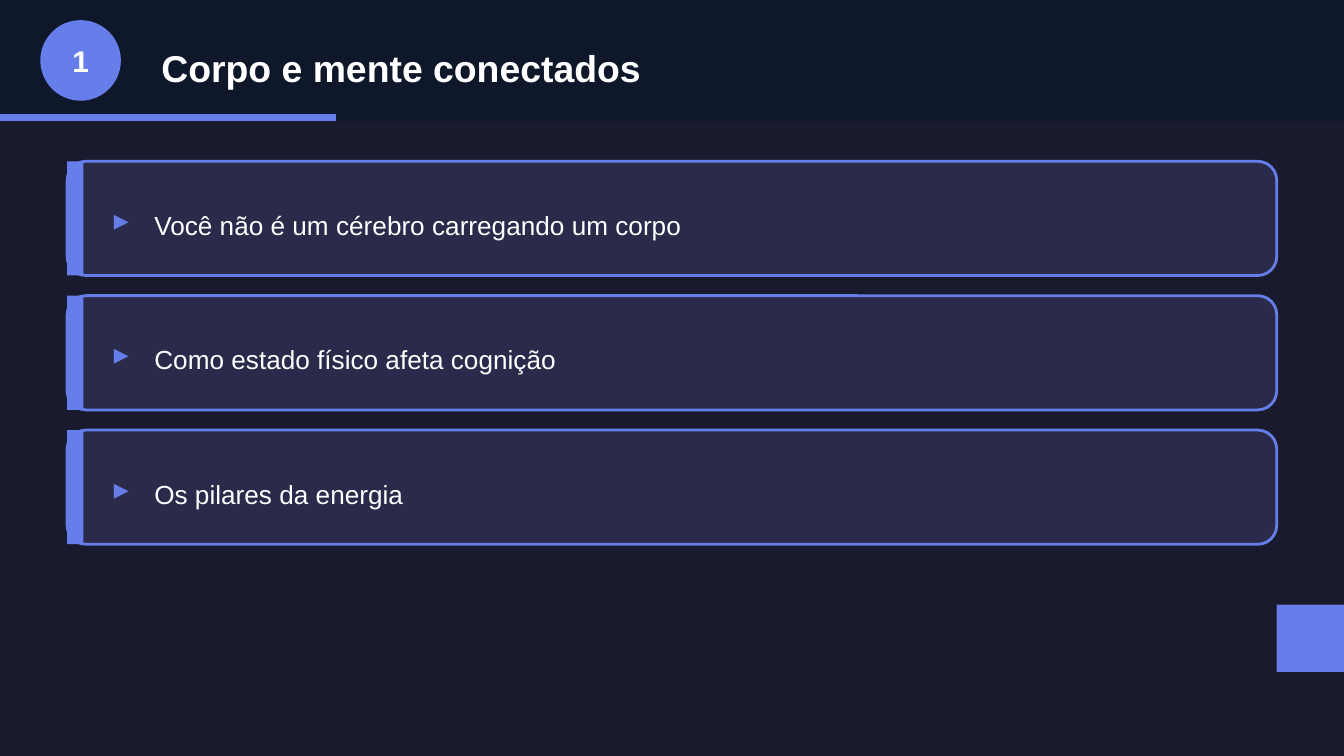
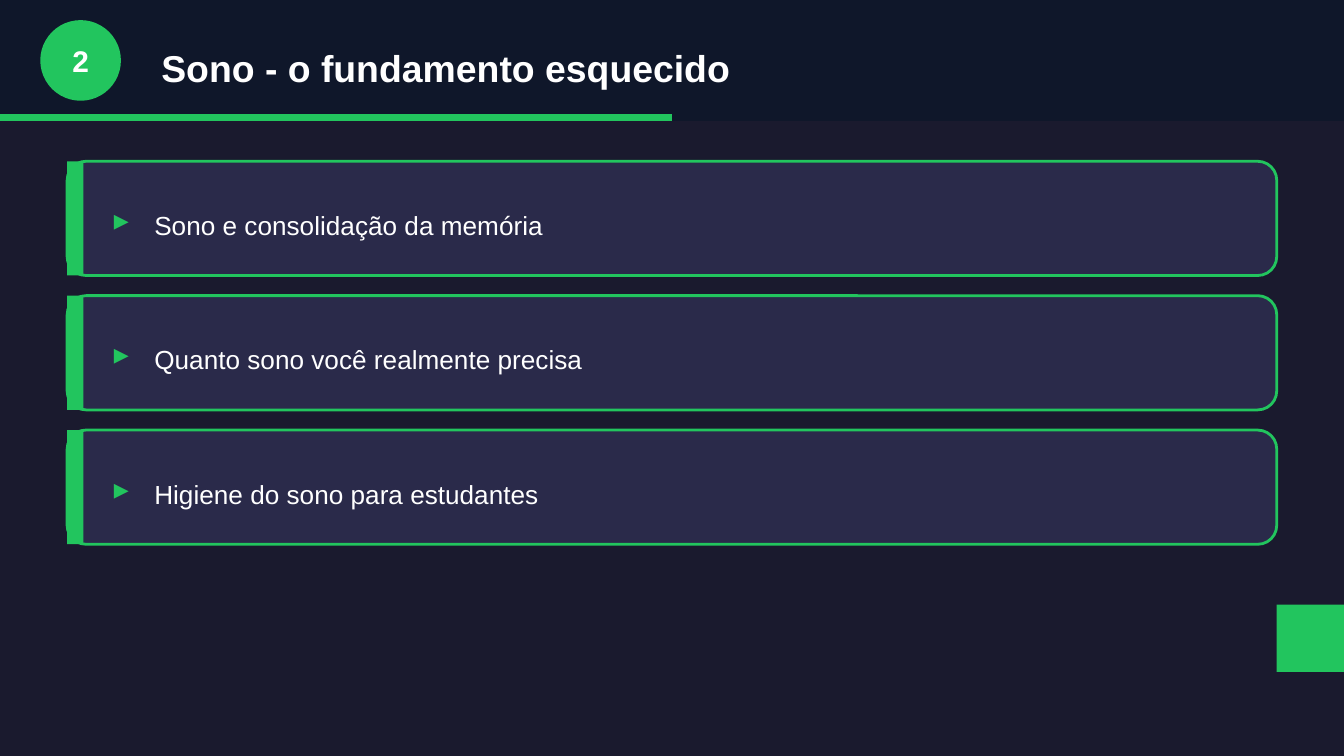
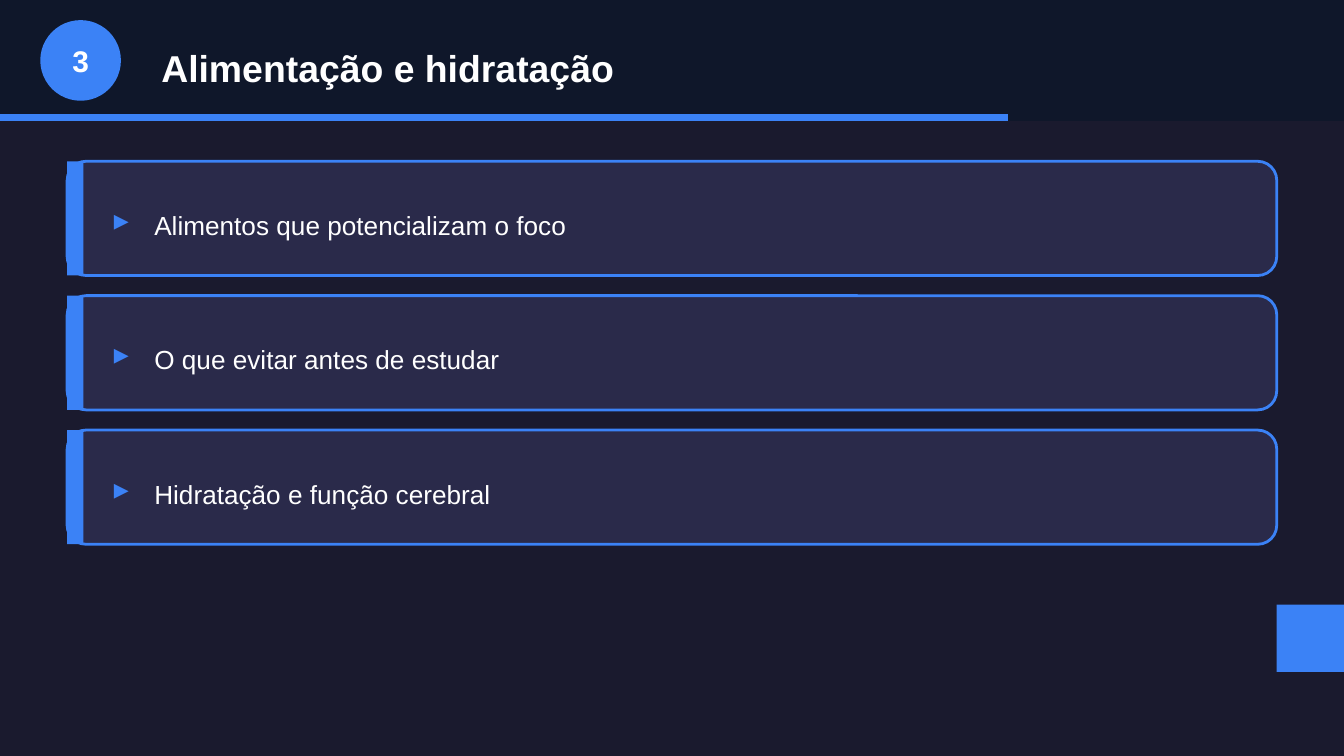
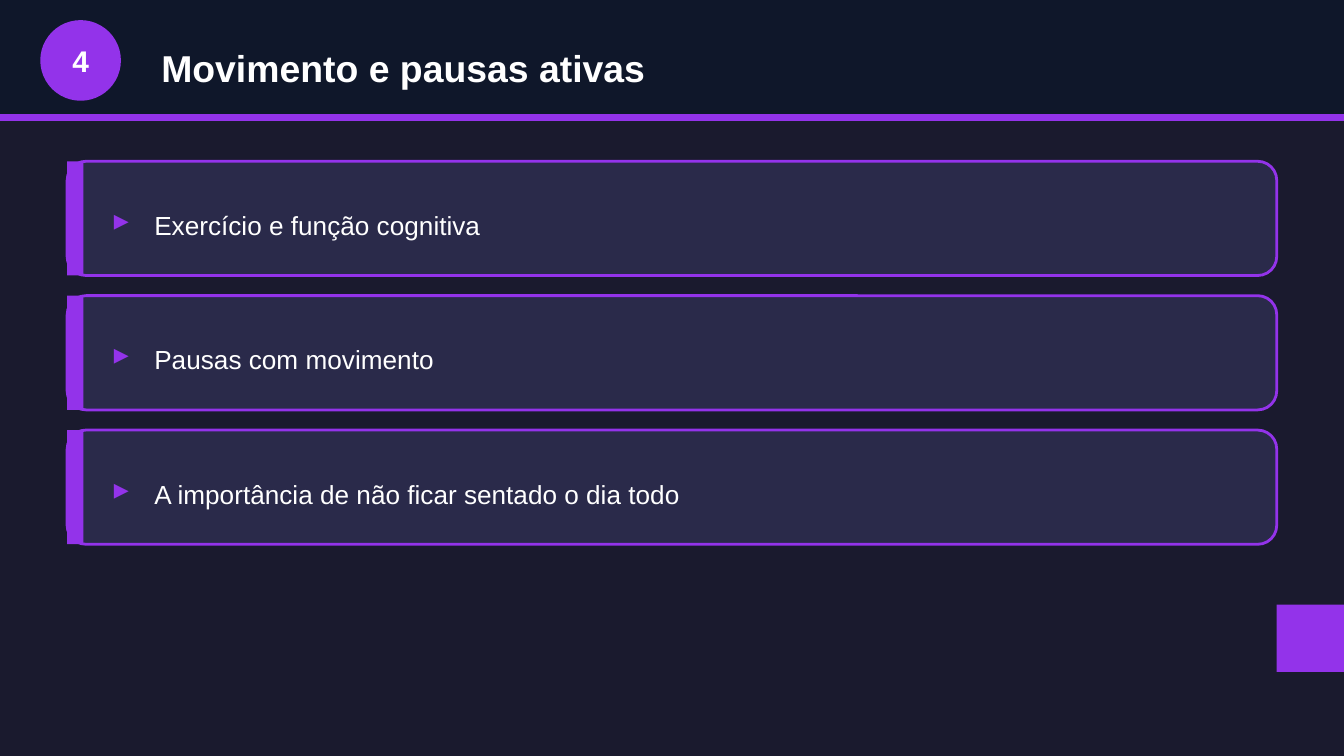
"""Build four dark topic slides, each with a numbered header and three cards."""
from pptx import Presentation
from pptx.dml.color import RGBColor
from pptx.enum.shapes import MSO_SHAPE
from pptx.enum.text import MSO_ANCHOR, PP_ALIGN
from pptx.util import Pt

RECT, OVAL, ROUND = MSO_SHAPE.RECTANGLE, MSO_SHAPE.OVAL, MSO_SHAPE.ROUNDED_RECTANGLE
LEFT, CENTER = PP_ALIGN.LEFT, PP_ALIGN.CENTER
MIDDLE = MSO_ANCHOR.MIDDLE

TOPICS = [
    ("Corpo e mente conectados", "667EEA", [
        "Você não é um cérebro carregando um corpo",
        "Como estado físico afeta cognição",
        "Os pilares da energia"]),
    ("Sono - o fundamento esquecido", "22C55E", [
        "Sono e consolidação da memória",
        "Quanto sono você realmente precisa",
        "Higiene do sono para estudantes"]),
    ("Alimentação e hidratação", "3B82F6", [
        "Alimentos que potencializam o foco",
        "O que evitar antes de estudar",
        "Hidratação e função cerebral"]),
    ("Movimento e pausas ativas", "9333EA", [
        "Exercício e função cognitiva",
        "Pausas com movimento",
        "A importância de não ficar sentado o dia todo"]),
]

BACKGROUND, BAND, CARD, WHITE = "1A1A2E", "0F172A", "2A2A4A", "FFFFFF"
FONT = "Arial"
PX = 4572
WIDTH, HEIGHT = 2000, 1125
BAND_H, PROGRESS_H = 180, 10
CARD_X, CARD_Y, CARD_W, CARD_H, CARD_STEP = 100, 240, 1800, 170, 200
CORNER = 100


def color(hex_code):
    return RGBColor.from_string(hex_code)


def emu(*lengths):
    return [n * PX for n in lengths]


def place(sp, *box):
    sp.left, sp.top, sp.width, sp.height = emu(*box)


def add_shape(s, kind, box, fill, line=None):
    sp = s.shapes.add_shape(kind, *emu(*box))
    sp.shadow.inherit = False
    sp.fill.solid()
    sp.fill.fore_color.rgb = color(fill)
    if line:
        sp.line.color.rgb = color(line)
        sp.line.width = Pt(1.5)
    else:
        sp.line.fill.background()


def write(sp, text, size=14, fill=WHITE, bold=False, align=LEFT):
    tf = sp.text_frame
    tf.word_wrap = True
    tf.vertical_anchor = MIDDLE
    p = tf.paragraphs[0]
    p.alignment = align
    r = p.add_run()
    r.text = text
    r.font.name, r.font.size, r.font.bold = FONT, Pt(size), bold
    r.font.color.rgb = color(fill)


def add_text(s, box, text, **style):
    write(s.shapes.add_textbox(*emu(*box)), text, **style)


def add_header(s, number, title, accent):
    add_shape(s, RECT, (0, 0, WIDTH, BAND_H), BAND)
    progress = WIDTH * number // len(TOPICS)
    add_shape(s, RECT, (0, BAND_H - PROGRESS_H, progress, PROGRESS_H), accent)
    add_shape(s, OVAL, (60, 30, 120, 120), accent)
    add_text(s, (60, 50, 120, 80), str(number), size=16, bold=True, align=CENTER)
    sp = s.shapes.title
    write(sp, title, size=20, bold=True)
    sp.element.getparent().append(sp.element)


def add_card(s, y, text, accent):
    add_shape(s, ROUND, (CARD_X, y, CARD_W, CARD_H), CARD, line=accent)
    add_shape(s, RECT, (CARD_X, y, 24, CARD_H), accent)
    add_text(s, (CARD_X + 50, y + 50, 60, 70), "▸", size=16, fill=accent, bold=True)
    add_text(s, (CARD_X + 110, y + 50, 1640, 90), text)


def main():
    prs = Presentation()
    prs.slide_width, prs.slide_height = emu(WIDTH, HEIGHT)
    bg = prs.slide_master.background.fill
    bg.solid()
    bg.fore_color.rgb = color(BACKGROUND)
    layout = prs.slide_layouts.get_by_name("Title Only")
    place(layout.placeholders[0], 220, 50, 1700, 100)

    for number, (title, accent, items) in enumerate(TOPICS, 1):
        s = prs.slides.add_slide(layout)
        add_header(s, number, title, accent)
        for i, item in enumerate(items):
            add_card(s, CARD_Y + i * CARD_STEP, item, accent)
        add_shape(s, RECT, (WIDTH - CORNER, 900, CORNER, CORNER), accent)

    prs.save("out.pptx")


if __name__ == "__main__":
    main()
